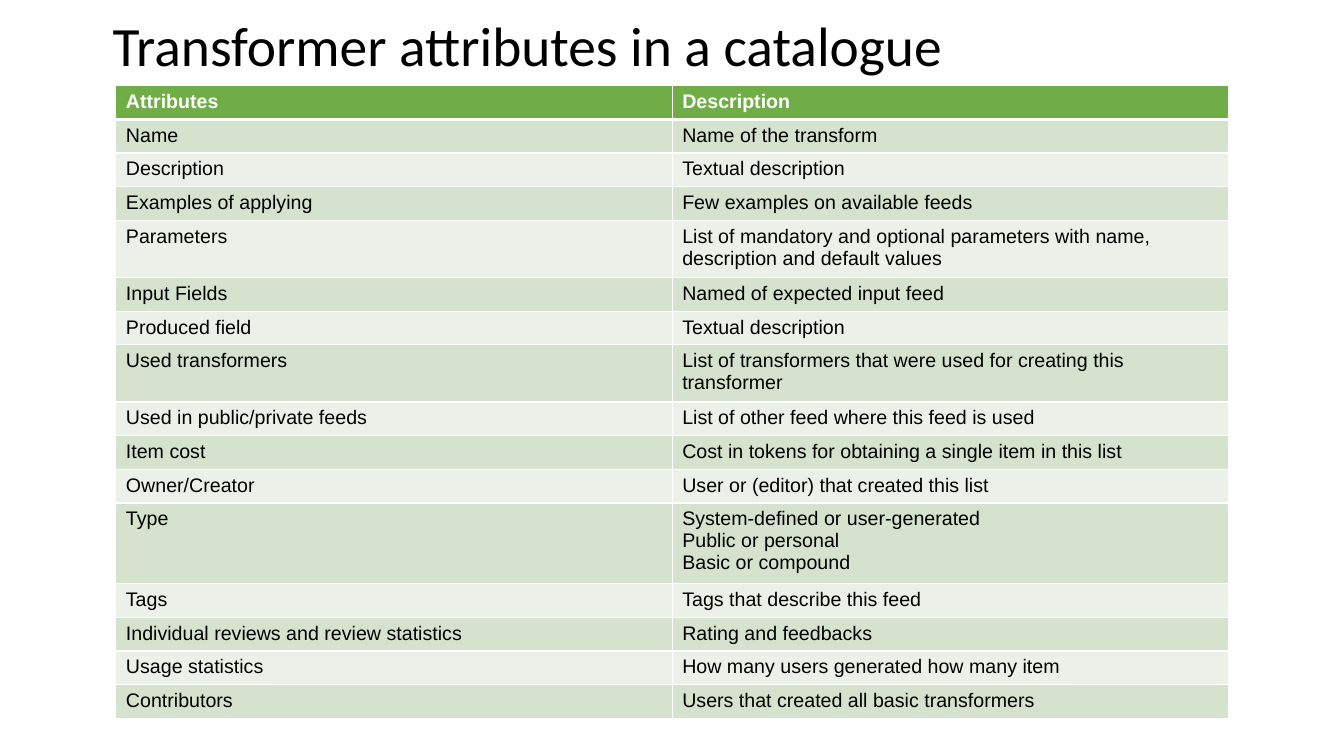
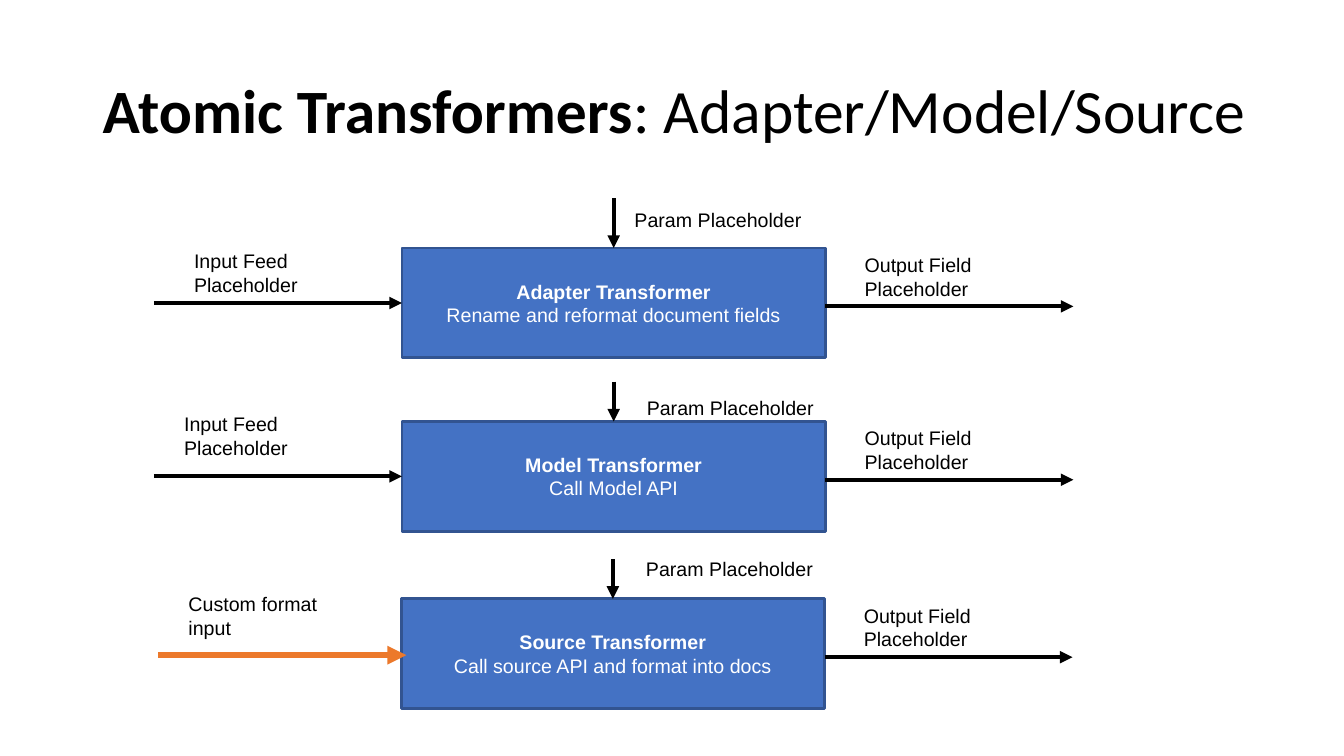
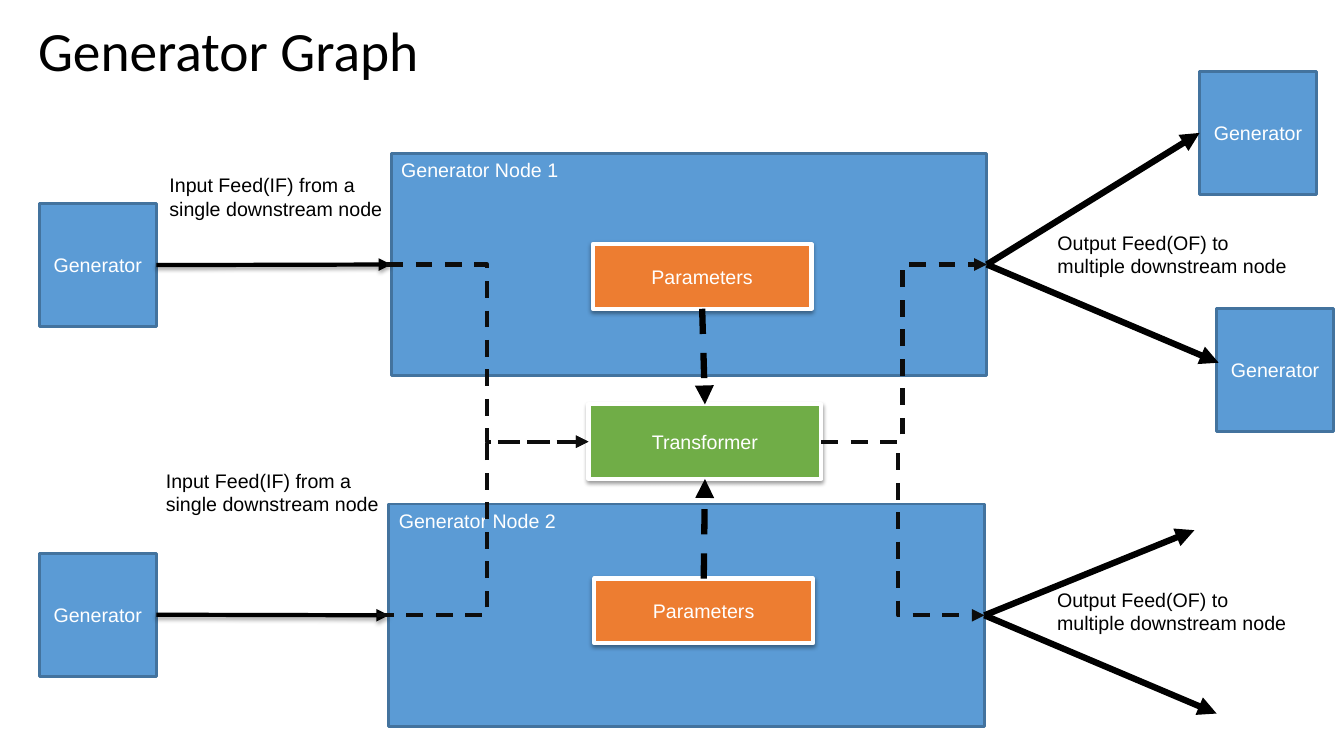
from collections import namedtuple

from lxml import etree
from pptx import Presentation
from pptx.dml.color import RGBColor
from pptx.enum.dml import MSO_LINE
from pptx.enum.shapes import MSO_CONNECTOR, MSO_SHAPE
from pptx.enum.text import MSO_ANCHOR, PP_ALIGN
from pptx.oxml.ns import qn
from pptx.util import Cm, Pt

RECT = MSO_SHAPE.RECTANGLE
STRAIGHT, ELBOW = MSO_CONNECTOR.STRAIGHT, MSO_CONNECTOR.ELBOW
DASH = MSO_LINE.DASH
TOP, MIDDLE = MSO_ANCHOR.TOP, MSO_ANCHOR.MIDDLE
LEFT, CENTER = PP_ALIGN.LEFT, PP_ALIGN.CENTER
SIDE_TOP, SIDE_LEFT, SIDE_BOTTOM, SIDE_RIGHT = range(4)

BLACK = RGBColor(0x00, 0x00, 0x00)
SOFT_BLACK = RGBColor(0x0D, 0x0D, 0x0D)
WHITE = RGBColor(0xFF, 0xFF, 0xFF)
GREEN = RGBColor(0x70, 0xAD, 0x47)
BAND_DARK = RGBColor(0xD4, 0xE2, 0xCE)
BAND_LIGHT = RGBColor(0xEB, 0xF1, 0xE8)
STAGE_FILL = RGBColor(0x44, 0x72, 0xC4)
STAGE_LINE = RGBColor(0x32, 0x54, 0x91)
NODE_FILL = RGBColor(0x5B, 0x9B, 0xD5)
NODE_LINE = RGBColor(0x43, 0x73, 0x9E)
ORANGE = RGBColor(0xED, 0x7D, 0x31)
ORANGE_LINE = RGBColor(0xEC, 0x79, 0x2B)

TITLE_FONT, BODY_FONT = "Calibri", "Arial"
BODY_SIZE = 14

# An arrow's end: a free spot, or the middle of a shape's side
End = namedtuple("End", "x y shape site")

ATTRIBUTES = [
    ("Attributes", "Description"),
    ("Name", "Name of the transform"),
    ("Description", "Textual description"),
    ("Examples of applying", "Few examples on available feeds"),
    ("Parameters", "List of mandatory and optional parameters with name, "
                   "description and default values"),
    ("Input Fields", "Named of expected input feed"),
    ("Produced field", "Textual description"),
    ("Used transformers", "List of transformers that were used for creating "
                          "this transformer"),
    ("Used in public/private feeds", "List of other feed where this feed is used"),
    ("Item cost", "Cost in tokens for obtaining a single item in this list"),
    ("Owner/Creator", "User or (editor) that created this list"),
    ("Type", "System-defined or user-generated\nPublic or personal\nBasic or compound"),
    ("Tags", "Tags that describe this feed"),
    ("Individual reviews and review statistics", "Rating and feedbacks"),
    ("Usage statistics", "How many users generated how many item"),
    ("Contributors", "Users that created all basic transformers"),
]


# Shared helpers

def style(paragraph, color, size=BODY_SIZE, font=BODY_FONT, bold=False):
    for run in paragraph.runs:
        run.font.name = font
        run.font.size = Pt(size)
        run.font.bold = bold
        run.font.color.rgb = color


def add_title(slide, box, text, size=39.6, bold_part=""):
    frame = slide.shapes.add_textbox(*map(Cm, box)).text_frame
    frame.word_wrap = True
    frame.vertical_anchor = MIDDLE
    heading = frame.paragraphs[0]
    heading.line_spacing = 0.9
    for part in filter(None, (bold_part, text)):
        heading.add_run().text = part
    style(heading, BLACK, size, TITLE_FONT)
    if bold_part:
        heading.runs[0].font.bold = True


def add_label(slide, left, top, width, text):
    frame = slide.shapes.add_textbox(Cm(left), Cm(top), Cm(width), Cm(1.45)).text_frame
    frame.word_wrap = True
    frame.text = text
    style(frame.paragraphs[0], BLACK)


def add_shadow(shape, alpha, distance):
    effects = shape._element.spPr.find(qn("a:effectLst"))
    shadow = etree.SubElement(effects, qn("a:outerShdw"), blurRad=str(Pt(3.1)),
                              dist=str(Pt(distance)), dir="5400000",
                              algn="ctr", rotWithShape="0")
    color = etree.SubElement(shadow, qn("a:srgbClr"), val=str(BLACK))
    etree.SubElement(color, qn("a:alpha"), val=str(alpha * 1000))


def add_block(slide, box, text, fill, line, line_width=2, anchor=MIDDLE,
              align=CENTER, shadow=False):
    block = slide.shapes.add_shape(RECT, *map(Cm, box))
    block.shadow.inherit = False
    block.fill.solid()
    block.fill.fore_color.rgb = fill
    block.line.color.rgb = line
    block.line.width = Pt(line_width)
    if shadow:
        add_shadow(block, 38, 1.6)
    frame = block.text_frame
    frame.word_wrap = True
    frame.vertical_anchor = anchor
    frame.text = text
    for paragraph in frame.paragraphs:
        paragraph.alignment = align
        style(paragraph, WHITE)
    return block


def spot(x, y):
    return End(Cm(x), Cm(y), None, None)


def side(shape, site):
    x = {SIDE_LEFT: 0, SIDE_RIGHT: shape.width}.get(site, shape.width // 2)
    y = {SIDE_TOP: 0, SIDE_BOTTOM: shape.height}.get(site, shape.height // 2)
    return End(shape.left + x, shape.top + y, shape, site)


def add_arrow(slide, start, end, width=3, color=BLACK, dash=None, bend=None):
    kind = STRAIGHT if bend is None else ELBOW
    arrow = slide.shapes.add_connector(kind, start.x, start.y, end.x, end.y)
    arrow.line.color.rgb = color
    arrow.line.width = Pt(width)
    if dash:
        arrow.line.dash_style = dash
    properties = arrow._element.spPr
    etree.SubElement(properties.find(qn("a:ln")), qn("a:tailEnd"), type="triangle")
    etree.SubElement(properties, qn("a:effectLst"))
    if bend is not None:
        geometry = properties.find(qn("a:prstGeom"))
        adjustments = geometry.find(qn("a:avLst"))
        if adjustments is None:
            adjustments = etree.SubElement(geometry, qn("a:avLst"))
        etree.SubElement(adjustments, qn("a:gd"), name="adj1",
                         fmla=f"val {round(bend * 100000)}")
    else:
        if start.shape is not None:
            arrow.begin_connect(start.shape, start.site)
        if end.shape is not None:
            arrow.end_connect(end.shape, end.site)
    return arrow


# Attribute table

def add_borders(cell, widths):
    properties = cell._tc.get_or_add_tcPr()
    for place, (edge, width) in enumerate(widths.items()):
        border = etree.Element(qn(f"a:ln{edge}"), w=str(Pt(width)))
        fill = etree.SubElement(border, qn("a:solidFill"))
        etree.SubElement(fill, qn("a:srgbClr"), val=str(WHITE))
        properties.insert(place, border)


def add_attribute_table(slide, left, top, width):
    row_height = 0.83
    table = slide.shapes.add_table(
        len(ATTRIBUTES), 2, Cm(left), Cm(top), Cm(width),
        Cm(row_height * len(ATTRIBUTES))).table
    for row, texts in enumerate(ATTRIBUTES):
        table.rows[row].height = Cm(row_height)
        header = row == 0
        band = GREEN if header else (BAND_LIGHT, BAND_DARK)[row % 2]
        for column, text in enumerate(texts):
            cell = table.cell(row, column)
            cell.text_frame.text = text
            cell.fill.solid()
            cell.fill.fore_color.rgb = band
            for paragraph in cell.text_frame.paragraphs:
                style(paragraph, WHITE if header else BLACK, bold=header)
            add_borders(cell, {"L": 1, "R": 1, "T": 3 if row == 1 else 1,
                               "B": 3 if header else 1})


def build_catalogue(slide):
    add_title(slide, (2.59, 0.36, 29.21, 1.75), "Transformer attributes in a catalogue")
    add_attribute_table(slide, 2.92, 2.16, 28.04)


# Atomic transformers

def add_stage(slide, left, top, name, task, param_offset, param_drop,
              input_text, input_offset, custom=False):
    width, height, label_width = 10.67, 2.77, 4.75
    stage = add_block(slide, (left, top, width, height), f"{name}\n{task}",
                      STAGE_FILL, STAGE_LINE)
    stage.text_frame.paragraphs[0].runs[0].font.bold = True

    # Input
    if custom:
        add_arrow(slide, spot(left - 6.12, top + 1.42), spot(left + 0.13, top + 1.42),
                  4.5, ORANGE_LINE)
    else:
        entry = side(stage, SIDE_LEFT)
        add_arrow(slide, End(entry.x - Cm(6.25), entry.y, None, None), entry)
    # Parameter
    entry = side(stage, SIDE_TOP)
    add_arrow(slide, End(entry.x, entry.y - Cm(param_drop), None, None), entry)
    # Output
    add_arrow(slide, spot(left + width, top + 1.47), spot(left + width + 6.25, top + 1.47))

    labels = [(input_text, input_offset), ("Param Placeholder", param_offset),
              ("Output Field Placeholder", (11.41, 0))]
    for text, (dx, dy) in labels:
        add_label(slide, left + dx, top + dy, label_width, text)


def build_atomic_transformers(slide):
    add_title(slide, (2.34, 1.02, 30.18, 3.68), ": Adapter/Model/Source", 44,
              "Atomic Transformers")
    add_stage(slide, 10.13, 6.25, "Adapter Transformer",
              "Rename and reformat document fields", (5.61, -1.14), 1.25,
              "Input Feed Placeholder", (-5.49, -0.1))
    add_stage(slide, 10.13, 10.62, "Model Transformer", "Call Model API",
              (5.92, -0.76), 1, "Input Feed Placeholder", (-5.74, -0.36))
    add_stage(slide, 10.11, 15.09, "Source Transformer",
              "Call source API and format into docs", (5.92, -1.17), 1,
              "Custom format input", (-5.61, -0.3), custom=True)


# Generator graph

def add_generator(slide, left, top):
    return add_block(slide, (left, top, 2.95, 3.1), "Generator", NODE_FILL, NODE_LINE)


def add_generator_node(slide, left, top, name, param_offset, input_offset, output_offset):
    node = add_block(slide, (left, top, 15.01, 5.61), name, NODE_FILL, NODE_LINE,
                     anchor=TOP, align=LEFT)
    dx, dy = param_offset
    parameters = add_block(slide, (left + dx, top + dy, 5.51, 1.63), "Parameters",
                           ORANGE, WHITE, 3, shadow=True)
    labels = [("Input Feed(IF) from a single downstream node", input_offset, 6.35),
              ("Output Feed(OF) to multiple downstream node", output_offset, 6.4)]
    for text, (dx, dy), width in labels:
        add_label(slide, left + dx, top + dy, width, text)
    return node, parameters


def connect_node(slide, node, parameters, source, transformer, lead, bends,
                 transformer_side, targets):
    entry, leaving = side(node, SIDE_LEFT), side(node, SIDE_RIGHT)
    add_shadow(add_arrow(slide, side(source, SIDE_RIGHT), entry), 35, 1.8)
    # Feeds through the transformer
    add_arrow(slide, entry._replace(x=entry.x - Cm(lead)), side(transformer, SIDE_LEFT),
              color=SOFT_BLACK, dash=DASH, bend=bends[0])
    add_arrow(slide, side(transformer, SIDE_RIGHT), leaving,
              color=SOFT_BLACK, dash=DASH, bend=bends[1])
    param_side = SIDE_BOTTOM if transformer_side == SIDE_TOP else SIDE_TOP
    add_arrow(slide, side(parameters, param_side), side(transformer, transformer_side),
              4.5, dash=DASH)
    # Fan of outputs
    for target in targets:
        add_arrow(slide, leaving, target, 4.5)


def build_generator_graph(slide):
    add_title(slide, (0.71, 0.43, 29.21, 1.85), "Generator Graph")
    node_1, parameters_1 = add_generator_node(
        slide, 9.86, 3.86, "Generator Node 1", (5.08, 2.29), (-5.84, 0.38), (16.54, 1.83))
    node_2, parameters_2 = add_generator_node(
        slide, 9.8, 12.7, "Generator Node 2", (5.18, 1.88), (-5.87, -1.02), (16.59, 1.98))
    transformer = add_block(slide, (14.83, 10.19, 5.87, 1.88), "Transformer",
                            GREEN, WHITE, 3, shadow=True)
    source_1, source_2, sink, _ = [
        add_generator(slide, left, top)
        for left, top in ((0.99, 5.13), (0.99, 13.94), (30.23, 1.8), (30.66, 7.77))]
    connect_node(slide, node_1, parameters_1, source_1, transformer, 0.13, (0.5, 0.49),
                 SIDE_TOP, (side(sink, SIDE_LEFT), spot(30.71, 9.14)))
    connect_node(slide, node_2, parameters_2, source_2, transformer, 0.3, (0.52, 0.47),
                 SIDE_BOTTOM, (spot(30.1, 13.36), spot(30.66, 17.98)))


def main():
    deck = Presentation()
    deck.slide_width, deck.slide_height = Cm(33.87), Cm(19.05)
    blank = deck.slide_layouts[6]
    for build in (build_catalogue, build_atomic_transformers, build_generator_graph):
        build(deck.slides.add_slide(blank))
    deck.save("out.pptx")


if __name__ == "__main__":
    main()
